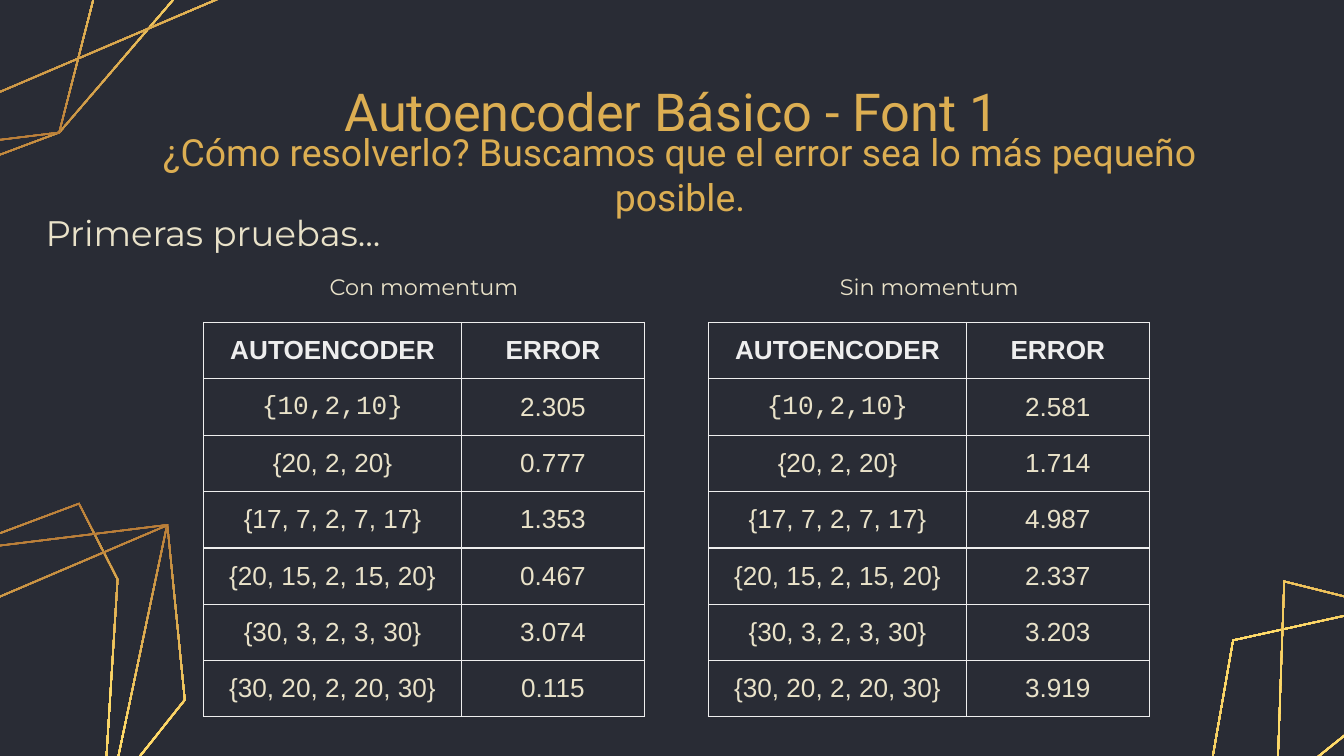
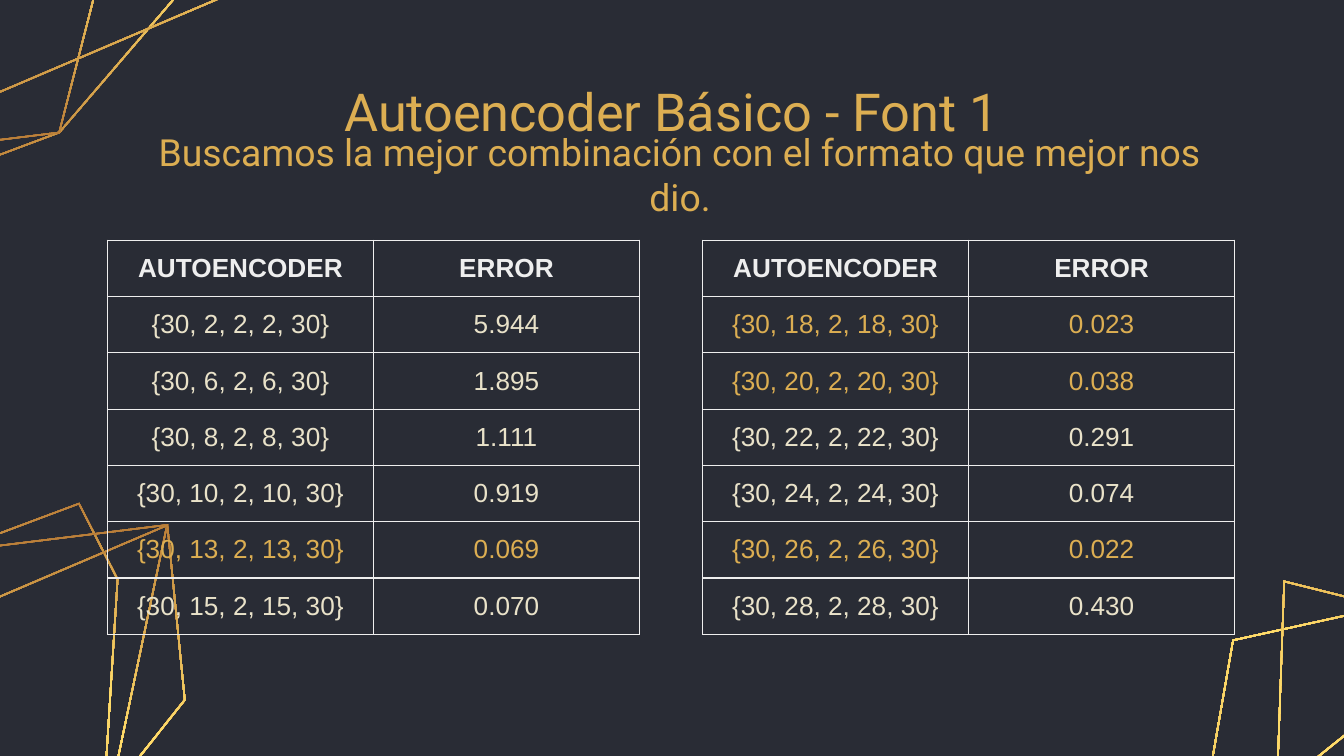
"""Build two slides that compare the errors of basic autoencoders."""
from dataclasses import dataclass
from itertools import count
from math import cos, hypot, radians, sin
from typing import NamedTuple

from lxml.etree import SubElement
from pptx import Presentation
from pptx.dml.color import RGBColor
from pptx.enum.text import MSO_ANCHOR, MSO_AUTO_SIZE, PP_ALIGN
from pptx.oxml import parse_xml
from pptx.oxml.ns import nsdecls, qn
from pptx.presentation import Presentation as Deck
from pptx.shapes.placeholder import SlidePlaceholder
from pptx.slide import Slide
from pptx.table import _Cell as Cell
from pptx.text.text import _Paragraph as Paragraph
from pptx.util import Pt


@dataclass(frozen=True)
class Theme:
    """Colours, fonts, type sizes and strokes of the deck."""
    background: str = "292C35"
    gold: str = "DCAE52"
    cream: str = "E9E2C9"
    white: str = "EEEEEE"
    bronze: str = "AF7132"
    yellow: str = "FFDD6B"
    heading_font: str = "Roboto"
    body_font: str = "Montserrat"
    table_font: str = "Arial"
    code_font: str = "Courier New"
    title_size: float = 28
    subtitle_size: float = 20
    section_size: float = 19
    caption_size: float = 12
    table_size: float = 14
    inset: float = 7.2
    border: float = 0.75
    strand: float = 0.8


THEME = Theme()


class Point(NamedTuple):
    """A position in points."""
    x: float
    y: float


class Box(NamedTuple):
    """Left, top, width and height in points."""
    left: float
    top: float
    width: float
    height: float


class TextStyle(NamedTuple):
    """Look of one paragraph."""
    font: str
    size: float
    color: str
    bold: bool = False
    align: PP_ALIGN = PP_ALIGN.CENTER


class Label(NamedTuple):
    """Text of one placeholder."""
    text: str
    box: Box
    style: TextStyle


class Trial(NamedTuple):
    """Layer sizes of an autoencoder and the error it reached."""
    layers: str
    error: str
    layers_font: str = THEME.table_font


class ErrorTable(NamedTuple):
    """A table of trials."""
    corner: Point
    columns: tuple[float, float]
    trials: list[Trial]


class Page(NamedTuple):
    """Labels and tables of one slide."""
    labels: list[Label]
    tables: list[ErrorTable]


class Web(NamedTuple):
    """Thin polygons that share one rotation."""
    rotation: float
    outlines: list[list[Point]]


TITLE = TextStyle(THEME.heading_font, THEME.title_size, THEME.gold)
SUBTITLE = TextStyle(THEME.heading_font, THEME.subtitle_size, THEME.gold)
SECTION = TextStyle(THEME.body_font, THEME.section_size, THEME.cream, align=PP_ALIGN.LEFT)
CAPTION = TextStyle(THEME.body_font, THEME.caption_size, THEME.cream)
HEADER = TextStyle(THEME.table_font, THEME.table_size, THEME.white, bold=True)

ROW_HEIGHT = 30.1
GOOD_ERROR = 0.07
COMPARISON_LAYOUT = 4
FIRST_DECOR_ID = 100

LEFT_TIP, LEFT_ELBOW = Point(90, 280.8), Point(-26.6, 295.2)
LEFT_FOOT, LEFT_BASE = Point(54.7, 448.6), Point(-13, 516.2)
RIGHT_PEAK, RIGHT_END = Point(830.2, 305.3), Point(956.2, 378)
RIGHT_FOOT, RIGHT_BASE = Point(640.1, 457.9), Point(679.7, 534.2)
RIGHT_CORNER = Point(796.3, 517)

BOTTOM_LEFT = Web(354.4, [
    [Point(-74.9, 486.7), Point(-118.1, 401.8), LEFT_ELBOW, Point(42.5, 269.3),
     Point(63.4, 310.3), LEFT_FOOT],
    [LEFT_BASE, Point(-75.6, 486), LEFT_ELBOW, LEFT_TIP, LEFT_FOOT],
    [LEFT_BASE, Point(-115.9, 368.6), LEFT_TIP, Point(99.4, 375.1)],
])
TOP_LEFT = Web(174.4, [[Point(5.4 - p.x, 366.5 - p.y) for p in outline]
                       for outline in BOTTOM_LEFT.outlines])
BOTTOM_RIGHT = Web(31.4, [
    [RIGHT_FOOT, Point(660.2, 342.7), RIGHT_PEAK, Point(918, 331.2),
     Point(907.2, 387.4), RIGHT_CORNER],
    [RIGHT_BASE, RIGHT_FOOT, RIGHT_PEAK, RIGHT_END, RIGHT_CORNER],
    [RIGHT_BASE, Point(687.6, 311), RIGHT_END, Point(895.7, 478.1)],
])


def rotate(point: Point, degrees: float) -> Point:
    """Turn a point clockwise about the origin."""
    c, s = cos(radians(degrees)), sin(radians(degrees))
    return Point(point.x * c - point.y * s, point.x * s + point.y * c)


def inset(outline: list[Point], width: float) -> list[Point]:
    """Shrink a clockwise polygon by an even width."""
    normals = []
    for start, end in zip(outline, outline[1:] + outline[:1]):
        length = hypot(end.x - start.x, end.y - start.y)
        normals.append(Point((start.y - end.y) / length, (end.x - start.x) / length))
    inner = []
    for corner, before, after in zip(outline, normals[-1:] + normals[:-1], normals):
        reach = width / (1 + before.x * after.x + before.y * after.y)
        inner.append(Point(corner.x + reach * (before.x + after.x),
                           corner.y + reach * (before.y + after.y)))
    return inner


def gradient_fill() -> str:
    """Return the metallic gradient as XML."""
    stops = zip((0, 50000, 100000), (THEME.bronze, THEME.yellow, THEME.gold))
    listed = "".join(f'<a:gs pos="{pos}"><a:srgbClr val="{color}"/></a:gs>'
                     for pos, color in stops)
    return (f'<a:gradFill {nsdecls("a")} rotWithShape="1"><a:gsLst>{listed}</a:gsLst>'
            '<a:lin ang="5400000" scaled="0"/></a:gradFill>')


def draw_webs(deck: Deck, slide: Slide) -> None:
    """Draw the golden webs and move them to the slide master."""
    ids = count(FIRST_DECOR_ID)
    for web in (BOTTOM_LEFT, TOP_LEFT, BOTTOM_RIGHT):
        for outline in web.outlines:
            outer = [rotate(p, -web.rotation) for p in outline]
            rings = [[(Pt(p.x), Pt(p.y)) for p in ring]
                     for ring in (outer, inset(outer, THEME.strand))]
            builder = slide.shapes.build_freeform(*rings[0][0])
            builder.add_line_segments(rings[0][1:], close=True)
            builder.move_to(*rings[1][0])
            builder.add_line_segments(rings[1][1:], close=True)
            strand = builder.convert_to_shape()
            middle = rotate(Point(strand.left + strand.width / 2,
                                  strand.top + strand.height / 2), web.rotation)
            strand.left = round(middle.x - strand.width / 2)
            strand.top = round(middle.y - strand.height / 2)
            strand.rotation = web.rotation
            strand.shadow.inherit = False
            strand.line.fill.background()
            strand.element.spPr.find(qn("a:custGeom")).addnext(parse_xml(gradient_fill()))
            strand.element.nvSpPr.cNvPr.id = next(ids)
            deck.slide_master.shapes.element.append(strand.element)


def style_paragraph(paragraph: Paragraph, style: TextStyle) -> None:
    """Apply a text style to a paragraph."""
    paragraph.alignment = style.align
    paragraph.space_before = Pt(0)
    font = paragraph.font
    font.name, font.size, font.bold = style.font, Pt(style.size), style.bold
    font.color.rgb = RGBColor.from_string(style.color)


def fill_placeholder(holder: SlidePlaceholder, label: Label) -> None:
    """Place a placeholder and write its label."""
    holder.left, holder.top, holder.width, holder.height = map(Pt, label.box)
    frame = holder.text_frame
    frame.text = label.text
    frame.word_wrap = True
    frame.auto_size = MSO_AUTO_SIZE.NONE
    frame.vertical_anchor = MSO_ANCHOR.MIDDLE
    frame.margin_left = frame.margin_right = Pt(THEME.inset)
    frame.margin_top = frame.margin_bottom = Pt(THEME.inset)
    paragraph = frame.paragraphs[0]
    properties = paragraph._p.get_or_add_pPr()
    properties.set("marL", "0")
    properties.set("indent", "0")
    SubElement(properties, qn("a:buNone"))
    style_paragraph(paragraph, label.style)


def write_cell(cell: Cell, text: str, style: TextStyle) -> None:
    """Write a bordered, unfilled cell."""
    cell.text = text
    cell.margin_left = cell.margin_right = Pt(THEME.inset)
    cell.margin_top = cell.margin_bottom = Pt(THEME.inset)
    properties = cell._tc.get_or_add_tcPr()
    for side in "LRTB":
        edge = SubElement(properties, qn(f"a:ln{side}"), w=str(Pt(THEME.border)))
        SubElement(SubElement(edge, qn("a:solidFill")), qn("a:srgbClr"), val=THEME.white)
    cell.fill.background()
    style_paragraph(cell.text_frame.paragraphs[0], style)


def draw_table(slide: Slide, spec_table: ErrorTable) -> None:
    """Draw a table of trials, with good errors in gold."""
    rows = len(spec_table.trials) + 1
    box = Box(*spec_table.corner, sum(spec_table.columns), ROW_HEIGHT * rows)
    table = slide.shapes.add_table(rows, 2, *map(Pt, box)).table
    table.first_row = table.horz_banding = False
    for column, width in zip(table.columns, spec_table.columns):
        column.width = Pt(width)
    for row in table.rows:
        row.height = Pt(ROW_HEIGHT)
    for column, heading in enumerate(("AUTOENCODER", "ERROR")):
        write_cell(table.cell(0, column), heading, HEADER)
    for row, trial in enumerate(spec_table.trials, start=1):
        color = THEME.gold if float(trial.error) < GOOD_ERROR else THEME.cream
        style = TextStyle(THEME.table_font, THEME.table_size, color)
        write_cell(table.cell(row, 0), trial.layers, style._replace(font=trial.layers_font))
        write_cell(table.cell(row, 1), trial.error, style)


def draw_page(slide: Slide, page: Page) -> None:
    """Fill the placeholders, remove the unused ones and draw the tables."""
    holders = list(slide.placeholders)
    for holder, label in zip(holders, page.labels):
        fill_placeholder(holder, label)
    for unused in holders[len(page.labels):]:
        unused.element.getparent().remove(unused.element)
    for table in page.tables:
        draw_table(slide, table)


def headings(subtitle: str) -> list[Label]:
    """Return the title and subtitle shared by the slides."""
    return [Label("Autoencoder Básico - Font 1", Box(157, 42.5, 405.4, 33.8), TITLE),
            Label(subtitle, Box(74.9, 76.3, 578.9, 33.8), SUBTITLE)]


def pages() -> list[Page]:
    """Return the content of both slides."""
    layers = ("{10,2,10}", "{20, 2, 20}", "{17, 7, 2, 7, 17}", "{20, 15, 2, 15, 20}",
              "{30, 3, 2, 3, 30}", "{30, 20, 2, 20, 30}")
    fonts = [THEME.code_font] + [THEME.table_font] * 5
    with_momentum = ("2.305", "0.777", "1.353", "0.467", "3.074", "0.115")
    without_momentum = ("2.581", "1.714", "4.987", "2.337", "3.203", "3.919")
    narrow = [Trial(f"{{30, {n}, 2, {n}, 30}}", error) for n, error in zip(
        (2, 6, 8, 10, 13, 15), ("5.944", "1.895", "1.111", "0.919", "0.069", "0.070"))]
    wide = [Trial(f"{{30, {n}, 2, {n}, 30}}", error) for n, error in zip(
        range(18, 29, 2), ("0.023", "0.038", "0.291", "0.074", "0.022", "0.430"))]
    first = Page(
        headings("¿Cómo resolverlo? Buscamos que el error sea lo más pequeño posible.") + [
            Label("Primeras pruebas...", Box(17.3, 105.1, 245.5, 38.9), SECTION),
            Label("Con momentum", Box(104.4, 133.9, 245.5, 38.9), CAPTION),
            Label("Sin momentum", Box(375.1, 133.9, 245.5, 38.9), CAPTION)],
        [ErrorTable(Point(left, 172.8), (138.2, 97.9), list(map(Trial, layers, errors, fonts)))
         for left, errors in ((109.1, with_momentum), (379.6, without_momentum))])
    second = Page(
        headings("Buscamos la mejor combinación con el formato que mejor nos dio."),
        [ErrorTable(Point(left, 128.7), (142.5, 142.5), trials)
         for left, trials in ((57.6, narrow), (376.4, wide))])
    return [first, second]


def main() -> None:
    """Build and save the deck."""
    deck = Presentation()
    deck.slide_width, deck.slide_height = Pt(720), Pt(405)
    backdrop = deck.slide_master.background.fill
    backdrop.solid()
    backdrop.fore_color.rgb = RGBColor.from_string(THEME.background)
    slides = [deck.slides.add_slide(deck.slide_layouts[COMPARISON_LAYOUT]) for _ in range(2)]
    draw_webs(deck, slides[0])
    for slide, page in zip(slides, pages()):
        draw_page(slide, page)
    deck.save("out.pptx")


if __name__ == "__main__":
    main()
